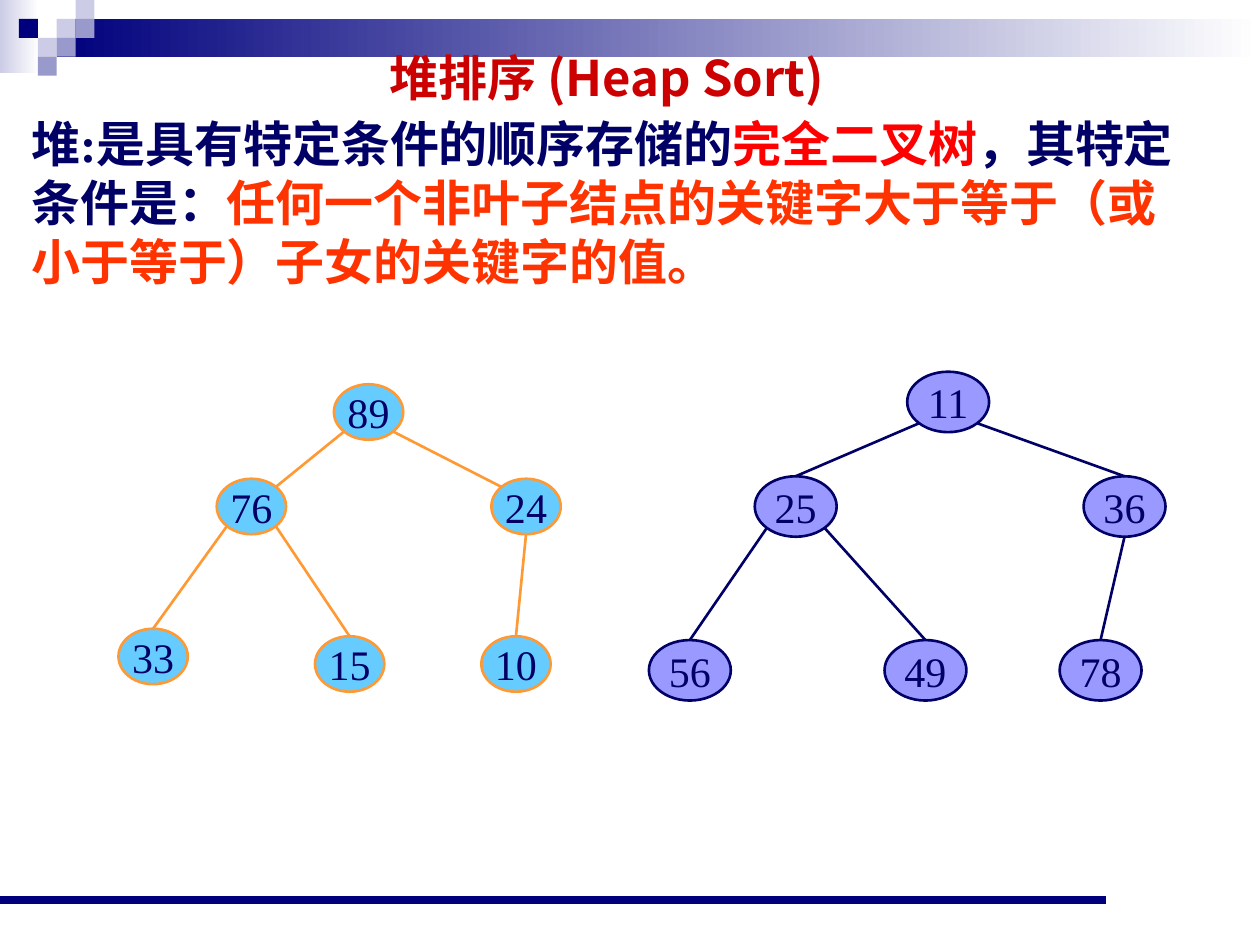
from lxml.etree import SubElement
from pptx import Presentation
from pptx.dml.color import RGBColor
from pptx.enum.shapes import MSO_CONNECTOR as Conn, MSO_SHAPE as Shape
from pptx.enum.text import MSO_ANCHOR as Anchor, MSO_AUTO_SIZE as Fit, PP_ALIGN as Align
from pptx.oxml.ns import qn
from pptx.util import Inches, Pt

WHITE = RGBColor(0xFF, 0xFF, 0xFF)
NAVY = RGBColor(0x00, 0x00, 0x7D)
PALE = RGBColor(0xCC, 0xCC, 0xE6)
MID = RGBColor(0x99, 0x99, 0xCC)
INK = RGBColor(0x00, 0x00, 0x66)
CRIMSON = RGBColor(0xCC, 0x00, 0x00)
RED = RGBColor(0xFF, 0x00, 0x00)
FLAME = RGBColor(0xFF, 0x33, 0x00)
SKY = RGBColor(0x66, 0xCC, 0xFF)
ORANGE = RGBColor(0xFF, 0x99, 0x33)
VIOLET = RGBColor(0x99, 0x99, 0xFF)
SANS = "Noto Sans CJK JP"
SERIF = "Times New Roman"

deck = Presentation()
deck.slide_width, deck.slide_height = Inches(10), Inches(7.5)
slide = deck.slides.add_slide(deck.slide_layouts[6])
shapes = slide.shapes


def add_form(kind, x, y, w, h):
    form = shapes.add_shape(kind, Inches(x), Inches(y), Inches(w), Inches(h))
    form.shadow.inherit = False
    form.line.fill.background()
    return form


def add_line(start, end, color, width):
    line = shapes.add_connector(Conn.STRAIGHT, *[Inches(v) for v in (*start, *end)])
    line.line.color.rgb = color
    line.line.width = Pt(width)
    SubElement(line._element.spPr, qn("a:effectLst"))


for x, y, w, h, color in [(0, 0, 0.31, 0.58, PALE), (0.45, 0.15, 9.55, 0.3, NAVY)]:
    fill = add_form(Shape.RECTANGLE, x, y, w, h).fill
    fill.gradient()
    fill.gradient_angle = 0
    for stop, shade in zip(fill.gradient_stops, (color, WHITE)):
        stop.color.rgb = shade

tiles = [
    (3, 1, PALE), (4, 0, PALE), (4, 1, MID), (2, 2, PALE),
    (1, 1, NAVY), (3, 2, MID), (2, 3, MID),
]
for col, row, color in tiles:
    tile = add_form(Shape.RECTANGLE, col * 0.15, row * 0.15, 0.15, 0.15)
    tile.fill.solid()
    tile.fill.fore_color.rgb = color

add_line((0, 7.14), (8.78, 7.14), NAVY, 4.5)

box = shapes.add_textbox(Inches(0.15), Inches(0.33), Inches(9.33), Inches(2.05))
frame = box.text_frame
frame.word_wrap = True
frame.auto_size = Fit.SHAPE_TO_FIT_TEXT
title = frame.paragraphs[0]
title.alignment = Align.CENTER
body = frame.add_paragraph()
body.space_before = Pt(4.2)
parts = [
    (title, "堆排序 (Heap Sort)", SANS, CRIMSON),
    (body, "堆:是具有特定条件的顺序存储的", SERIF, INK),
    (body, "完全二叉树", SERIF, RED),
    (body, "，其特定条件是：", SERIF, INK),
    (body, "任何一个非叶子结点的关键字大于等于（或小于等于）子女的关键字的值。", SERIF, FLAME),
]
for para, text, face, color in parts:
    run = para.add_run()
    run.text = text
    run.font.size = Pt(28)
    run.font.bold = True
    run.font.name = face
    run.font.color.rgb = color
    SubElement(run.font._element, qn("a:ea")).set("typeface", SANS)

DIAG = 0.35
TOP, BOTTOM = (0, -0.5), (0, 0.5)
LOW_L, LOW_R = (-DIAG, DIAG), (DIAG, DIAG)
TOP_L, TOP_R = (-DIAG, -DIAG), (DIAG, -DIAG)

max_heap = {
    89: (2.65, 3.05), 76: (1.72, 3.8), 24: (3.9, 3.8),
    33: (0.94, 4.99), 15: (2.5, 5.05), 10: (3.82, 5.05),
}
max_links = [
    (89, LOW_L, 76, TOP_R), (89, LOW_R, 24, TOP_L), (76, LOW_L, 33, TOP),
    (76, LOW_R, 15, TOP), (24, BOTTOM, 10, TOP),
]
min_heap = {
    11: (7.2, 2.95), 25: (5.99, 3.78), 36: (8.6, 3.78),
    56: (5.15, 5.08), 49: (7.02, 5.08), 78: (8.41, 5.08),
}
min_links = [
    (11, LOW_L, 25, TOP), (11, LOW_R, 36, TOP), (25, LOW_L, 56, TOP),
    (25, LOW_R, 49, TOP), (36, BOTTOM, 78, TOP),
]
heaps = [
    (max_heap, max_links, 0.55, 0.44, SKY, ORANGE),
    (min_heap, min_links, 0.65, 0.48, VIOLET, INK),
]
for nodes, links, w, h, color, edge in heaps:
    for key, (x, y) in nodes.items():
        node = add_form(Shape.OVAL, x, y, w, h)
        node.fill.solid()
        node.fill.fore_color.rgb = color
        node.line.color.rgb = edge
        node.line.width = Pt(1.5)
        frame = node.text_frame
        frame.word_wrap = False
        frame.vertical_anchor = Anchor.MIDDLE
        frame.text = str(key)
        para = frame.paragraphs[0]
        para.alignment = Align.CENTER
        font = para.runs[0].font
        font.size = Pt(24)
        font.name = SERIF
        font.color.rgb = INK
    for top, out, low, into in links:
        start, end = [
            (nodes[key][0] + w * (0.5 + dx), nodes[key][1] + h * (0.5 + dy))
            for key, (dx, dy) in ((top, out), (low, into))
        ]
        add_line(start, end, edge, 1.5)

deck.save("out.pptx")
